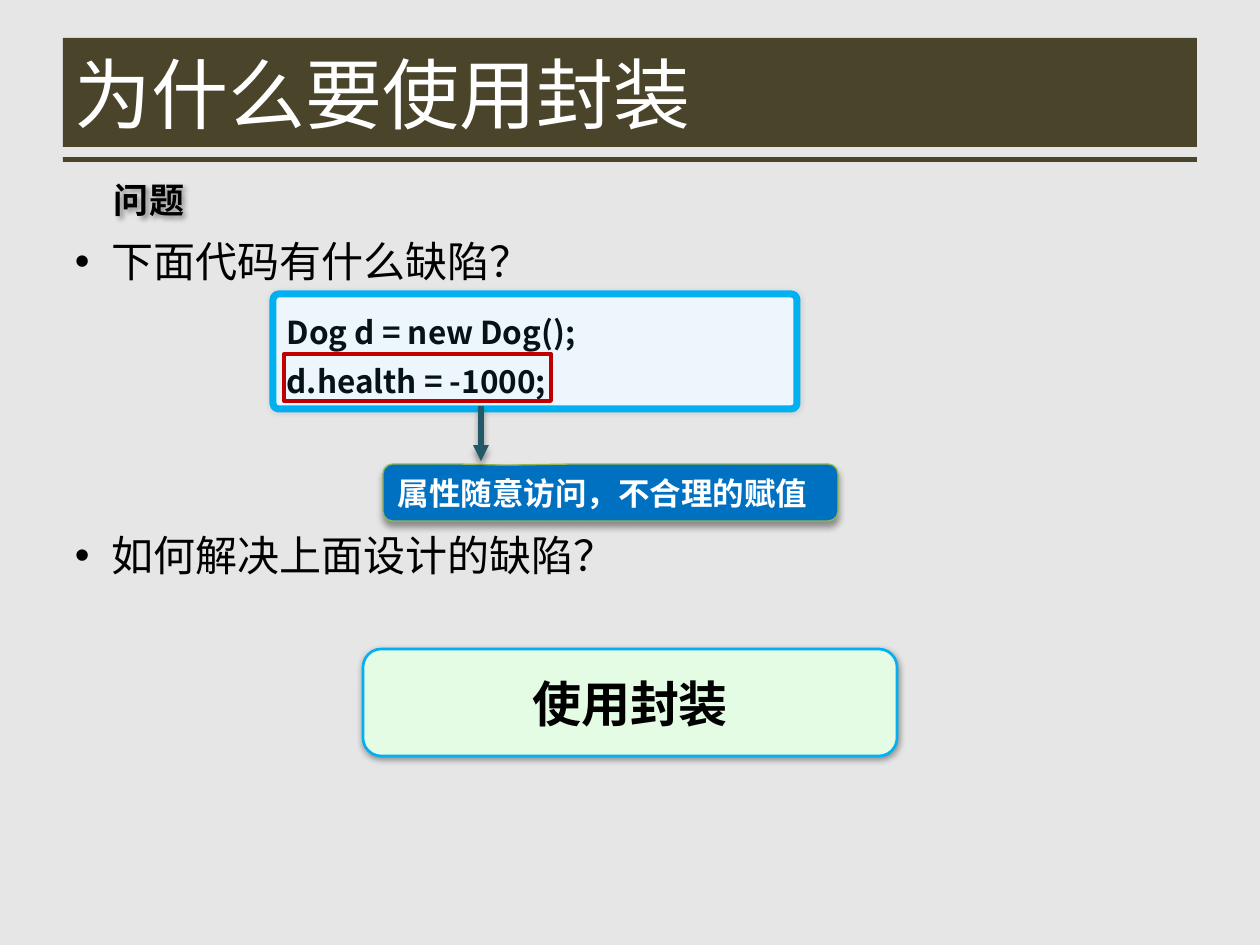
from lxml import etree
from pptx import Presentation
from pptx.dml.color import RGBColor
from pptx.enum.shapes import MSO_CONNECTOR, MSO_SHAPE
from pptx.enum.text import MSO_ANCHOR, PP_ALIGN
from pptx.oxml.ns import qn
from pptx.util import Emu, Pt

RECTANGLE = MSO_SHAPE.RECTANGLE
ROUNDED = MSO_SHAPE.ROUNDED_RECTANGLE
CALLOUT = MSO_SHAPE.ROUNDED_RECTANGULAR_CALLOUT
STRAIGHT = MSO_CONNECTOR.STRAIGHT
TOP, MIDDLE = MSO_ANCHOR.TOP, MSO_ANCHOR.MIDDLE
LEFT, CENTER = PP_ALIGN.LEFT, PP_ALIGN.CENTER

BACKGROUND = RGBColor(0xE7, 0xE6, 0xE6)
OLIVE = RGBColor(0x4A, 0x45, 0x2A)
WHITE = RGBColor(0xFF, 0xFF, 0xFF)
BLACK = RGBColor(0, 0, 0)
CODE_FILL = RGBColor(0xED, 0xF5, 0xFD)
CODE_TEXT = RGBColor(0x07, 0x12, 0x15)
SKY = RGBColor(0x00, 0xB0, 0xF0)
BLUE = RGBColor(0x00, 0x70, 0xC0)
GREEN_LINE = RGBColor(0x95, 0xB7, 0x4F)
MINT = RGBColor(0xE4, 0xFC, 0xE4)
TEAL = RGBColor(0x21, 0x59, 0x68)
RED = RGBColor(0xC0, 0x00, 0x00)

FONT = "Noto Sans CJK SC"
PX_PER_INCH = 126
INSET_X, INSET_Y = 12, 6
BULLET_INDENT = 37


def px(value):
    return Emu(round(value * 914400 / PX_PER_INCH))


def set_shadow(shape, shadow=None):
    properties = shape._element.spPr
    effects = properties.find(qn("a:effectLst"))
    if effects is None:
        effects = etree.SubElement(properties, qn("a:effectLst"))
    if shadow:
        alpha, blur, distance, degrees = shadow
        outer = etree.SubElement(
            effects, qn("a:outerShdw"), blurRad=str(Pt(blur)),
            dist=str(Pt(distance)), dir=str(degrees * 60000),
            rotWithShape="0")
        color = etree.SubElement(outer, qn("a:srgbClr"), val=str(BLACK))
        etree.SubElement(color, qn("a:alpha"), val=str(alpha * 1000))


def add_text(shape, lines, size, color, bold=False, font=FONT, align=LEFT,
             anchor=MIDDLE, wrap=True, spacing=None, bullet=False):
    frame = shape.text_frame
    frame.word_wrap = wrap
    frame.vertical_anchor = anchor
    frame.margin_left = frame.margin_right = px(INSET_X)
    frame.margin_top = frame.margin_bottom = px(INSET_Y)
    for index, line in enumerate(lines):
        paragraph = frame.paragraphs[0] if index == 0 else frame.add_paragraph()
        paragraph.alignment = align
        if spacing:
            paragraph.line_spacing = spacing
        if bullet:
            properties = paragraph._p.get_or_add_pPr()
            properties.set("marL", str(px(BULLET_INDENT)))
            properties.set("indent", str(-px(BULLET_INDENT)))
            etree.SubElement(properties, qn("a:buFont"), typeface="Arial")
            etree.SubElement(properties, qn("a:buChar"), char="•")
        run = paragraph.add_run()
        run.text = line
        run.font.size = Pt(size)
        run.font.bold = bold
        run.font.color.rgb = color
        run.font.name = font
        etree.SubElement(run.font._element, qn("a:ea"), typeface=FONT)


def add_box(slide, kind, left, top, width, height, fill=None, line=None,
            line_width=1, adjustments=(), shadow=None):
    shape = slide.shapes.add_shape(
        kind, px(left), px(top), px(width), px(height))
    shape.shadow.inherit = False
    for index, value in enumerate(adjustments):
        shape.adjustments[index] = value
    if fill is None:
        shape.fill.background()
    else:
        shape.fill.solid()
        shape.fill.fore_color.rgb = fill
    if line is None:
        shape.line.fill.background()
    else:
        shape.line.color.rgb = line
        shape.line.width = Pt(line_width)
    set_shadow(shape, shadow)
    return shape


def add_label(slide, left, top, width, height, text, shadow=None,
              **text_format):
    label = slide.shapes.add_textbox(px(left), px(top), px(width), px(height))
    set_shadow(label, shadow)
    add_text(label, [text], **text_format)


def add_arrow(slide, x, start, end, color, width, shadow):
    arrow = slide.shapes.add_connector(
        STRAIGHT, px(x), px(start), px(x), px(end))
    arrow.line.color.rgb = color
    arrow.line.width = Pt(width)
    etree.SubElement(arrow.line._get_or_add_ln(), qn("a:tailEnd"),
                     type="triangle")
    set_shadow(arrow, shadow)


def main():
    presentation = Presentation()
    presentation.slide_width, presentation.slide_height = px(1260), px(945)
    slide = presentation.slides.add_slide(presentation.slide_layouts[6])
    slide.background.fill.solid()
    slide.background.fill.fore_color.rgb = BACKGROUND

    # Title bar and rule
    title = add_box(slide, RECTANGLE, 63, 38, 1134, 109, fill=OLIVE)
    add_text(title, ["为什么要使用封装"], size=44, color=WHITE)
    add_box(slide, RECTANGLE, 63, 157, 1134, 5, fill=OLIVE)

    # Heading and the two questions
    add_label(slide, 102, 172, 97, 55, "问题", size=20, color=BLACK,
              bold=True, wrap=False, shadow=(40, 3, 2, 45))
    for top, question in ((230, "下面代码有什么缺陷？"),
                          (524, "如何解决上面设计的缺陷？")):
        add_label(slide, 63, top, 1134, 62, question, size=24, color=BLACK,
                  anchor=TOP, bullet=True)

    # Code
    code = add_box(slide, ROUNDED, 273, 294, 524, 115, fill=CODE_FILL,
                   line=SKY, line_width=4, adjustments=[0.05],
                   shadow=(10, 3, 0, 0))
    add_text(code, ["Dog d = new Dog();", "d.health = -1000;"], size=18,
             color=CODE_TEXT, bold=True, anchor=TOP, spacing=Pt(28))

    # Explanation of the fault
    fault = add_box(slide, CALLOUT, 383, 464, 455, 57, fill=BLUE,
                    line=GREEN_LINE, line_width=0.75,
                    adjustments=[-0.23, -0.48, 0.17], shadow=(40, 4, 3, 90))
    add_text(fault, ["属性随意访问，不合理的赋值"], size=18, color=WHITE,
             bold=True, font="Arial", wrap=False)

    # Answer
    answer = add_box(slide, ROUNDED, 363, 649, 534, 107, fill=MINT, line=SKY,
                     line_width=1.5, adjustments=[0.17],
                     shadow=(40, 4, 1, 90))
    add_text(answer, ["使用封装"], size=28, color=BLACK, bold=True,
             align=CENTER)

    # Arrow, and frame around the faulty line
    add_arrow(slide, 481, 406, 461, TEAL, 3, shadow=(40, 4, 3, 90))
    add_box(slide, RECTANGLE, 284, 354, 267, 47, line=RED, line_width=2.25)

    presentation.save("out.pptx")


if __name__ == "__main__":
    main()
